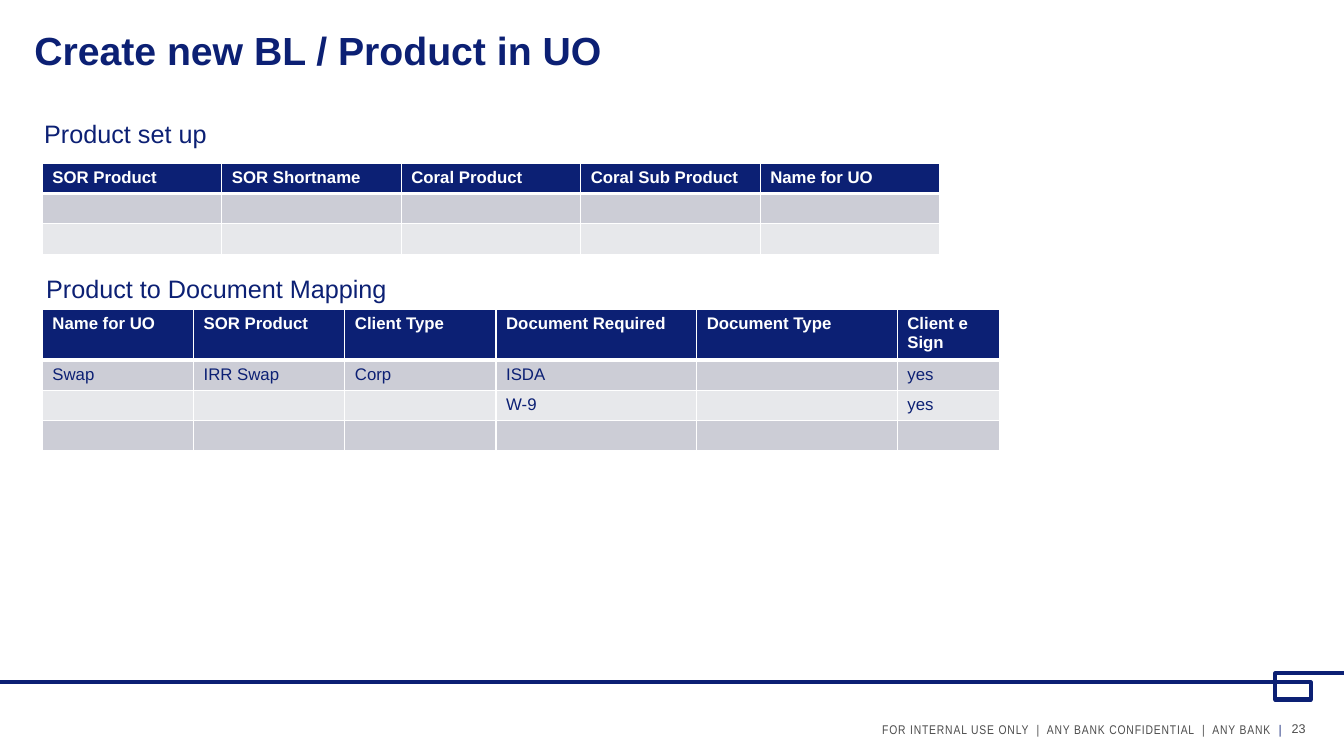
from dataclasses import dataclass

from lxml import etree
from pptx import Presentation
from pptx import util as u
from pptx.dml import color
from pptx.enum import text
from pptx.oxml import ns
from pptx.slide import Slide
from pptx.table import _Cell
from pptx.text.text import _Paragraph

COLORS = {
    "navy": "0C2074",
    "white": "FFFFFF",
    "gray": "4D4D4D",
    "dark_band": "CCCDD6",
    "light_band": "E7E8EB",
}


@dataclass
class Label:
    runs: list[tuple[str, str]]
    left: float
    top: float
    width: float
    height: float
    size: float
    bold: bool = False
    font: str = "Arial"
    align: text.PP_ALIGN = text.PP_ALIGN.LEFT
    anchor: text.MSO_ANCHOR = text.MSO_ANCHOR.BOTTOM
    inset: bool = False
    tracking: int = 0


@dataclass
class Grid:
    left: float
    top: float
    widths: list[float]
    heights: list[float]
    rows: list[list[str]]


LABELS = [
    Label([("23", "gray")], 12.81, 7.11, 0.52, 0.19, 9),
    Label([("FOR INTERNAL USE ONLY  |  ANY BANK CONFIDENTIAL  |  ANY BANK ", "gray"), (" |", "navy")],
          2.11, 7.11, 10.6, 0.2, 9, font="Arial Narrow", align=text.PP_ALIGN.RIGHT, tracking=60),
    Label([("Create new BL / Product in UO", "navy")], 0.34, 0.23, 12, 0.5, 28, bold=True),
    Label([("Product set up", "navy")], 0.34, 1.12, 3.6, 0.4, 18,
          anchor=text.MSO_ANCHOR.TOP, inset=True),
    Label([("Product to Document Mapping", "navy")], 0.36, 2.66, 3.6, 0.4, 18,
          anchor=text.MSO_ANCHOR.TOP, inset=True),
]

GRIDS = [
    Grid(0.42, 1.62, [1.78] * 5, [0.3] * 3, [
        ["SOR Product", "SOR Shortname", "Coral Product", "Coral Sub Product", "Name for UO"],
        [""] * 5,
        [""] * 5,
    ]),
    Grid(0.42, 3.07, [1.5, 1.5, 1.5, 1.99, 1.99, 1.01], [0.5, 0.3, 0.3, 0.3], [
        ["Name for UO", "SOR Product", "Client Type", "Document Required", "Document Type", "Client e Sign"],
        ["Swap", "IRR Swap", "Corp", "ISDA", "", "yes"],
        ["", "", "", "W-9", "", "yes"],
        [""] * 6,
    ]),
]

RIBBON = [(13.33, 6.68), (12.65, 6.68), (12.65, 6.94), (13, 6.94), (13, 6.77), (0, 6.77)]


def rgb(name: str) -> color.RGBColor:
    return color.RGBColor.from_string(COLORS[name])


def set_font(paragraph: _Paragraph, name: str, size: float, bold: bool, fill: str) -> None:
    paragraph.font.name = name
    paragraph.font.size = u.Pt(size)
    paragraph.font.bold = bold
    paragraph.font.color.rgb = rgb(fill)


def add_label(slide: Slide, label: Label) -> None:
    box = slide.shapes.add_textbox(*map(u.Inches, (label.left, label.top, label.width, label.height)))
    frame = box.text_frame
    frame.word_wrap = True
    frame.vertical_anchor = label.anchor
    if not label.inset:
        frame.margin_left = frame.margin_right = frame.margin_top = frame.margin_bottom = 0
    paragraph = frame.paragraphs[0]
    paragraph.alignment = label.align
    set_font(paragraph, label.font, label.size, label.bold, label.runs[0][1])
    for words, fill in label.runs:
        run = paragraph.add_run()
        run.text = words
        if len(label.runs) > 1:
            run.font.color.rgb = rgb(fill)
        if label.tracking:
            run.font._element.set("spc", str(label.tracking))


def set_borders(cell: _Cell, top: float, bottom: float) -> None:
    properties = cell._tc.get_or_add_tcPr()
    for index, (side, width) in enumerate([("L", 1), ("R", 1), ("T", top), ("B", bottom)]):
        line = etree.Element(ns.qn(f"a:ln{side}"), w=str(u.Pt(width)))
        fill = etree.SubElement(line, ns.qn("a:solidFill"))
        etree.SubElement(fill, ns.qn("a:srgbClr"), val=COLORS["white"])
        properties.insert(index, line)


def fill_cell(cell: _Cell, words: str, row: int) -> None:
    header = row == 0
    band = "navy" if header else ("light_band", "dark_band")[row % 2]
    cell.fill.solid()
    cell.fill.fore_color.rgb = rgb(band)
    set_borders(cell, top=3 if row == 1 else 1, bottom=3 if header else 1)
    paragraph = cell.text_frame.paragraphs[0]
    set_font(paragraph, "Arial", 12, header, "white" if header else "navy")
    if words:
        paragraph.add_run().text = words
    else:
        etree.SubElement(paragraph._p, ns.qn("a:endParaRPr"), sz="1200")


def add_grid(slide: Slide, grid: Grid) -> None:
    frame = slide.shapes.add_table(
        len(grid.rows), len(grid.widths),
        *map(u.Inches, (grid.left, grid.top, sum(grid.widths), sum(grid.heights))))
    table = frame.table
    for column, width in zip(table.columns, grid.widths):
        column.width = u.Inches(width)
    for row, (height, values) in enumerate(zip(grid.heights, grid.rows)):
        table.rows[row].height = u.Inches(height)
        for column, words in enumerate(values):
            fill_cell(table.cell(row, column), words, row)


def add_ribbon(slide: Slide) -> None:
    points = [(u.Inches(x), u.Inches(y)) for x, y in RIBBON]
    builder = slide.shapes.build_freeform(*points[0])
    builder.add_line_segments(points[1:], close=False)
    shape = builder.convert_to_shape()
    shape.shadow.inherit = False
    shape.fill.background()
    shape.line.color.rgb = rgb("navy")
    shape.line.width = u.Pt(3)


def main() -> None:
    presentation = Presentation()
    presentation.slide_width = u.Inches(13.33)
    presentation.slide_height = u.Inches(7.5)
    slide = presentation.slides.add_slide(presentation.slide_layouts[6])
    add_ribbon(slide)
    for label in LABELS:
        add_label(slide, label)
    for grid in GRIDS:
        add_grid(slide, grid)
    presentation.save("out.pptx")


if __name__ == "__main__":
    main()
